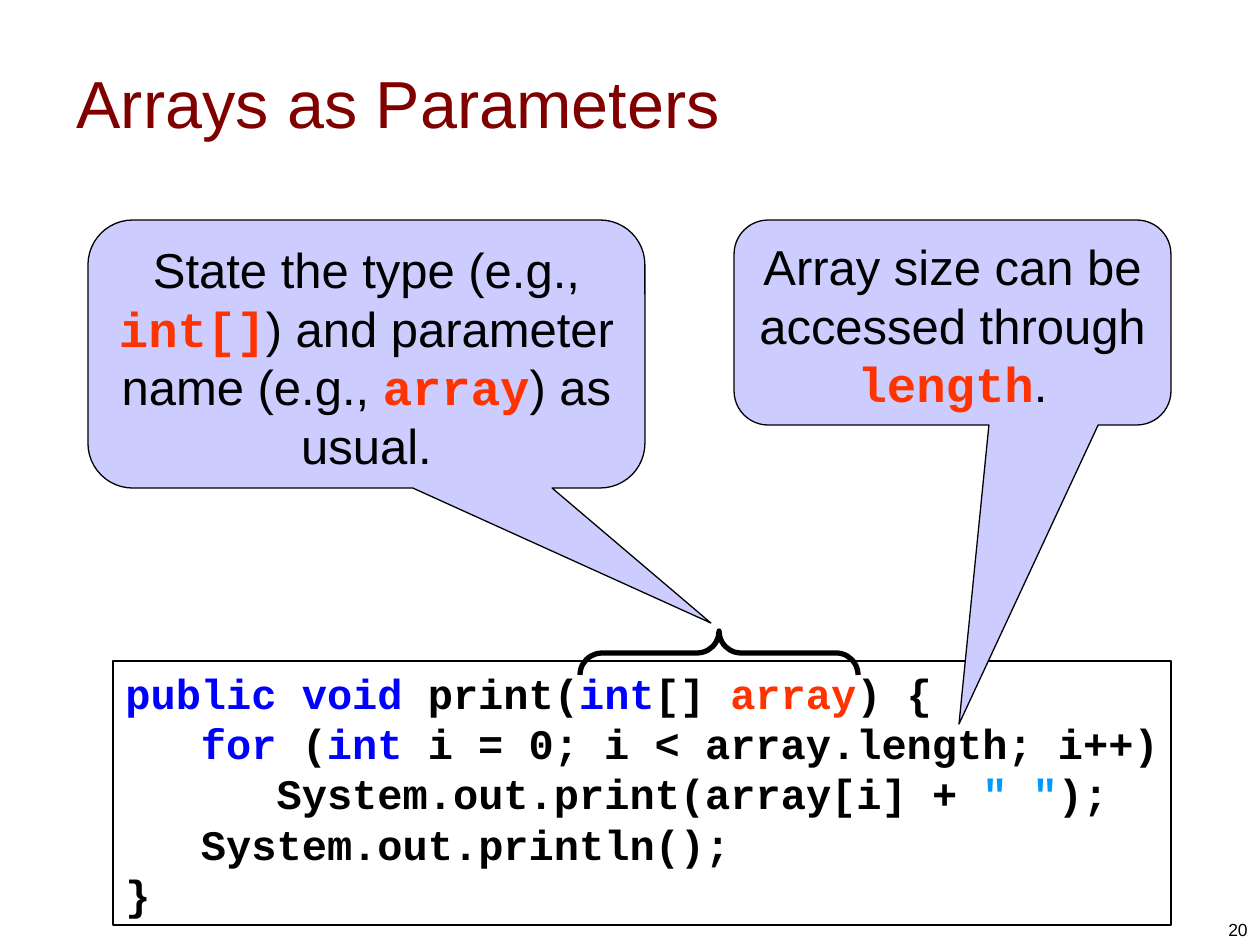
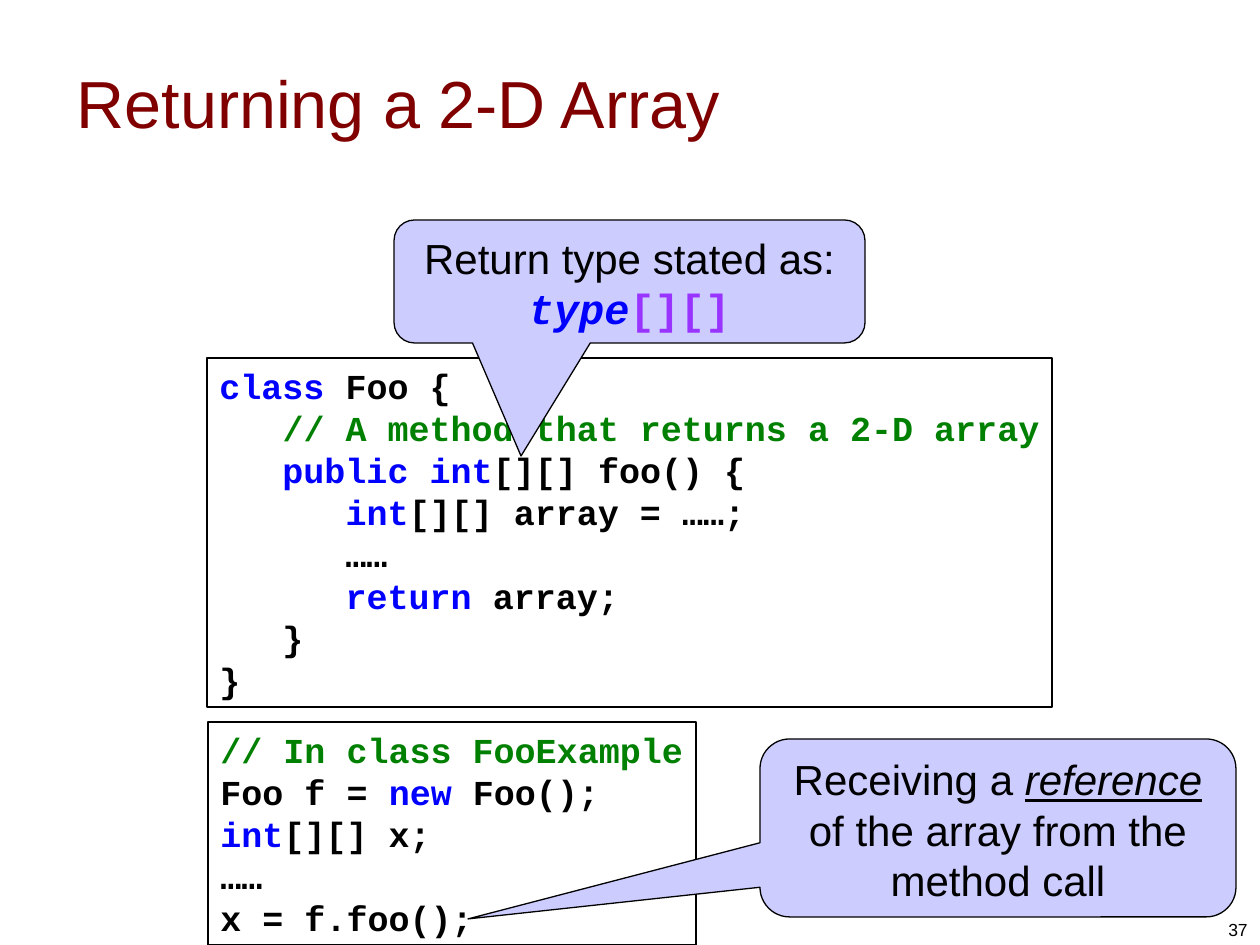
from pptx import Presentation
from pptx.dml.color import RGBColor
from pptx.enum.shapes import MSO_SHAPE
from pptx.enum.text import MSO_ANCHOR, PP_ALIGN
from pptx.util import Emu, Pt

PX = 914400 / 126
BLACK, BLUE, ORANGE, GREEN = "000000", "0000FF", "FF3300", "008000"
SKY, PURPLE, MAROON, LAVENDER = "0099FF", "9933FF", "800000", "CCCCFF"

PLAIN = {"name": "Arial", "bold": False}
CODE = {"name": "Courier New", "bold": True}
EMPHASIS = {**PLAIN, "italic": True, "underline": True}
CODE_ITALIC = {**CODE, "italic": True}

TITLE_BOX = (64, 23, 1134, 157)
NUMBER_BOX = (966, 883, 294, 63)

PRINT_METHOD = [
    [("public void", BLUE), (" print(", BLACK), ("int", BLUE), ("[] ", BLACK), ("array", ORANGE), (") {", BLACK)],
    [("   ", BLACK), ("for", BLUE), (" (", BLACK), ("int", BLUE), (" i = 0; i < array.length; i++)", BLACK)],
    [("      System.out.print(array[i] + ", BLACK), ('" "', SKY), (");", BLACK)],
    [("   System.out.println();", BLACK)],
    [("}", BLACK)],
]
FOO_CLASS = [
    [("class", BLUE), (" Foo {", BLACK)],
    [("   ", BLACK), ("// A method that returns a 2-D array", GREEN)],
    [("   public int", BLUE), ("[][] foo() {", BLACK)],
    [("      ", BLACK), ("int", BLUE), ("[][] array = ……;", BLACK)],
    [("      ……", BLACK)],
    [("      ", BLACK), ("return", BLUE), (" array;", BLACK)],
    [("   }", BLACK)],
    [("}", BLACK)],
]
FOO_EXAMPLE = [
    [("// In class FooExample", GREEN)],
    [("Foo f = ", BLACK), ("new", BLUE), (" Foo();", BLACK)],
    [("int", BLUE), ("[][] x;", BLACK)],
    [("……", BLACK)],
    [("x = f.foo();", BLACK)],
]


def px(length):
    return Emu(round(length * PX))


def color(value):
    return RGBColor.from_string(value)


def set_attributes(target, values):
    for name, value in values.items():
        setattr(target, name, value)


def place(shape, box):
    set_attributes(shape, dict(zip(("left", "top", "width", "height"), map(px, box))))


def write(shape, lines, size, align=PP_ALIGN.LEFT, anchor=MSO_ANCHOR.TOP, wrap=True):
    frame = shape.text_frame
    set_attributes(frame, {"word_wrap": wrap, "vertical_anchor": anchor})
    for index, line in enumerate(lines):
        paragraph = frame.add_paragraph() if index else frame.paragraphs[0]
        paragraph.alignment = align
        for text, text_color, style in line:
            run = paragraph.add_run()
            run.text = text
            set_attributes(run.font, {**style, "size": Pt(size)})
            run.font.color.rgb = color(text_color)


def add_outlined(slide, kind, box, line_width=0.75, fill=None):
    shape = slide.shapes.add_shape(kind, *map(px, box))
    shape.shadow.inherit = False
    if fill:
        shape.fill.solid()
        shape.fill.fore_color.rgb = color(fill)
    else:
        shape.fill.background()
    shape.line.color.rgb = color(BLACK)
    shape.line.width = Pt(line_width)
    return shape


def add_code(slide, box, lines, size):
    shape = add_outlined(slide, MSO_SHAPE.RECTANGLE, box)
    styled = [[(text, text_color, CODE) for text, text_color in line] for line in lines]
    write(shape, styled, size, wrap=False)


def add_callout(slide, box, tip, lines, size):
    shape = add_outlined(slide, MSO_SHAPE.ROUNDED_RECTANGULAR_CALLOUT, box, fill=LAVENDER)
    left, top, width, height = box
    shape.adjustments[0] = (tip[0] - left) / width - 0.5
    shape.adjustments[1] = (tip[1] - top) / height - 0.5
    shape.adjustments[2] = 0.167
    write(shape, lines, size, PP_ALIGN.CENTER)


def add_brace_above(slide, box):
    left, top, width, height = box
    turn = (width - height) / 2
    shape = add_outlined(slide, MSO_SHAPE.LEFT_BRACE, (left + turn, top - turn, height, width), 3)
    shape.rotation = 90
    shape.adjustments[0] = 0.5


def add_base(presentation, title, number):
    slide = presentation.slides.add_slide(presentation.slide_layouts[5])
    place(slide.shapes.title, TITLE_BOX)
    write(slide.shapes.title, [[(title, MAROON, PLAIN)]], 38, anchor=MSO_ANCHOR.MIDDLE)
    number_box = slide.shapes.add_textbox(*map(px, NUMBER_BOX))
    write(number_box, [[(number, BLACK, PLAIN)]], 10, PP_ALIGN.RIGHT, MSO_ANCHOR.BOTTOM)
    return slide


def add_parameters_slide(presentation):
    slide = add_base(presentation, "Arrays as Parameters", "20")
    add_code(slide, (113, 661, 1058, 264), PRINT_METHOD, 24)
    add_callout(slide, (88, 220, 557, 268), (711, 623), [[
        ("State the type (e.g., ", BLACK, PLAIN), ("int[]", ORANGE, CODE),
        (") and parameter name (e.g., ", BLACK, PLAIN), ("array", ORANGE, CODE),
        (") as usual.", BLACK, PLAIN),
    ]], 28)
    add_callout(slide, (734, 220, 437, 205), (959, 724), [[
        ("Array size can be accessed through ", BLACK, PLAIN),
        ("length", ORANGE, CODE), (".", BLACK, PLAIN),
    ]], 28)
    add_brace_above(slide, (580, 631, 278, 44))


def add_returning_slide(presentation):
    slide = add_base(presentation, "Returning a 2-D Array", "37")
    add_code(slide, (207, 358, 845, 349), FOO_CLASS, 20)
    add_code(slide, (208, 722, 488, 223), FOO_EXAMPLE, 20)
    add_callout(slide, (394, 220, 471, 123), (521, 456), [
        [("Return type stated as:", BLACK, PLAIN)],
        [("type", BLUE, CODE_ITALIC), ("[][]", PURPLE, CODE)],
    ], 24)
    add_callout(slide, (760, 739, 476, 178), (468, 919), [[
        ("Receiving a ", BLACK, PLAIN), ("reference", BLACK, EMPHASIS),
        (" of the array from the method call", BLACK, PLAIN),
    ]], 24)


def main():
    presentation = Presentation()
    set_attributes(presentation, {"slide_width": px(1260), "slide_height": px(945)})
    add_parameters_slide(presentation)
    add_returning_slide(presentation)
    presentation.save("out.pptx")


if __name__ == "__main__":
    main()
